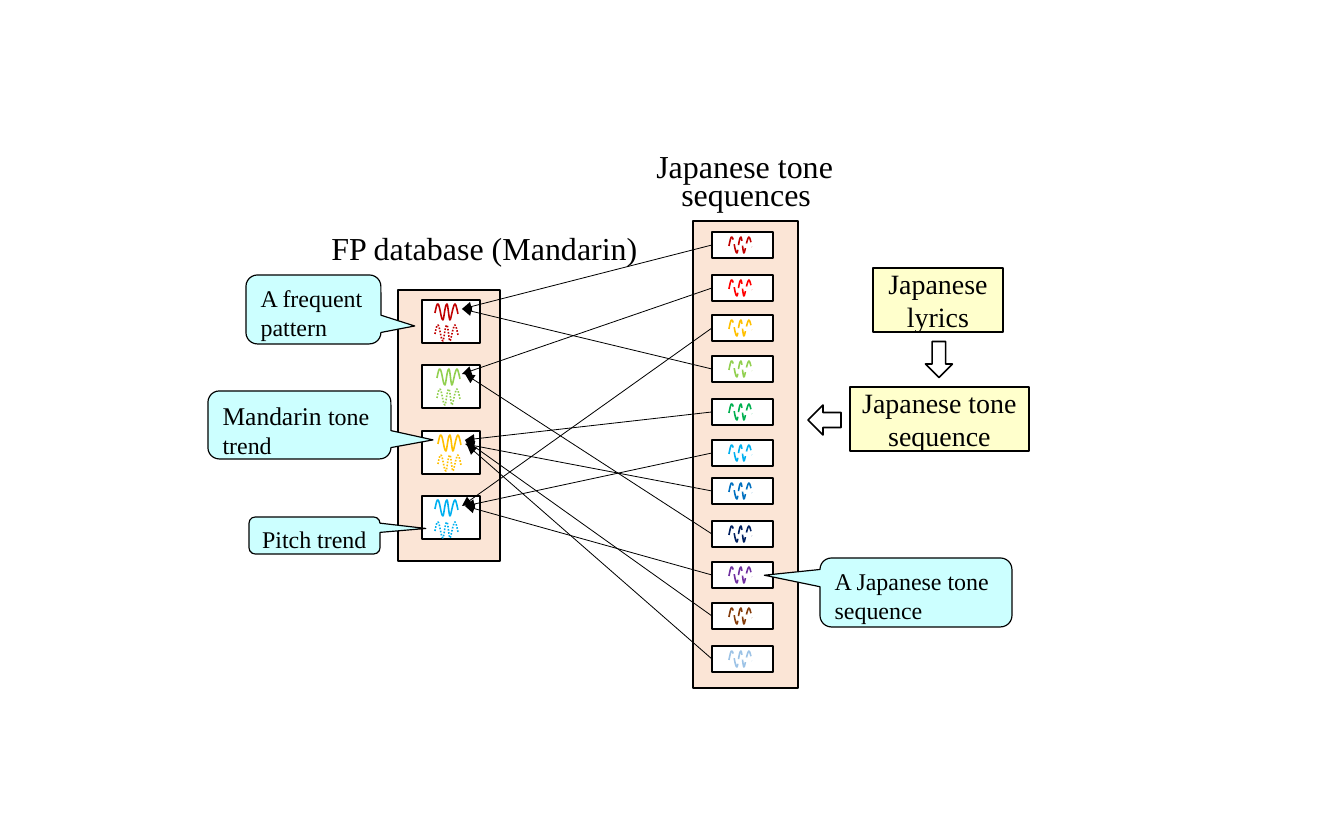
from dataclasses import dataclass
from typing import NamedTuple

from lxml.etree import SubElement
from pptx import Presentation
from pptx.dml.color import RGBColor as Rgb
from pptx.enum.dml import MSO_LINE_DASH_STYLE as Dash
from pptx.enum.shapes import MSO_CONNECTOR as Link, MSO_SHAPE as Kind
from pptx.enum.text import MSO_ANCHOR as Anchor, PP_ALIGN as Align
from pptx.oxml.ns import qn
from pptx.util import Pt

PX = 914400 / 115


def emu(px: float) -> int:
    return round(px * PX)


@dataclass(frozen=True)
class Theme:
    font: str = "Times New Roman"
    ink: str = "000000"
    white: str = "FFFFFF"
    peach: str = "FBE5D6"
    aqua: str = "CCFFFF"
    cream: str = "FFFFCC"
    title: float = 20
    step: float = 17.5
    lead: float = 16
    note: float = 15
    edge: float = 1
    thin: float = 0.75
    hair: float = 0.5


class Box(NamedTuple):
    x: int
    y: int
    w: int
    h: int


class Run(NamedTuple):
    text: str
    size: float


class Label(NamedTuple):
    box: Box
    run: Run


class Bubble(NamedTuple):
    box: Box
    tip: tuple[float, float]
    runs: list[Run]


class Trend(NamedTuple):
    color: str
    dx: int
    gap: int


class Tone(NamedTuple):
    color: str
    y: int
    tip: tuple[int, int]


class Arrow(NamedTuple):
    box: Box
    turn: int


T = Theme()

LABELS = [
    Label(Box(320, 223, 335, 51), Run("FP database (Mandarin)", T.title)),
    Label(Box(645, 141, 201, 51), Run("Japanese tone", T.title)),
    Label(Box(670, 169, 154, 51), Run("sequences", T.title)),
]
TRENDS = [
    Trend("C00000", 13, 21),
    Trend("92D050", 15, 20),
    Trend("FFC000", 16, 20),
    Trend("00B0F0", 13, 22),
]
TONES = [
    Tone("C00000", 232, (462, 309)),
    Tone("FF0000", 275, (462, 374)),
    Tone("FFC000", 315, (462, 506)),
    Tone("92D050", 356, (462, 309)),
    Tone("00B050", 399, (465, 440)),
    Tone("00B0F0", 440, (465, 506)),
    Tone("0070C0", 478, (465, 444)),
    Tone("002060", 521, (465, 374)),
    Tone("7030A0", 562, (465, 506)),
    Tone("843C0B", 603, (465, 440)),
    Tone("9DC3E6", 646, (467, 445)),
]
BUBBLES = [
    Bubble(Box(208, 391, 183, 68), (0.73, 0.22),
           [Run("Mandarin ", T.lead), Run("tone trend", T.note)]),
    Bubble(Box(249, 517, 131, 37), (0.85, -0.19), [Run("Pitch trend", T.note)]),
    Bubble(Box(246, 275, 135, 69), (0.75, 0.24), [Run("A frequent pattern", T.note)]),
    Bubble(Box(820, 558, 192, 69), (-0.79, -0.25),
           [Run("A Japanese tone sequence", T.note)]),
]
STEPS = [
    Label(Box(873, 268, 130, 64), Run("Japanese lyrics", T.step)),
    Label(Box(850, 387, 179, 64), Run("Japanese tone sequence", T.step)),
]
ARROWS = [Arrow(Box(808, 405, 33, 30), 0), Arrow(Box(921, 346, 36, 27), 270)]

START = (0, 9)
CURVES = [
    ((1, 4), (2, -1), (3, 0)),
    ((5, 1), (6, 16), (8, 16)),
    ((9, 16), (10, 0), (12, 0)),
    ((13, 0), (14, 16), (15, 16)),
    ((16, 16), (18, 1), (20, 0)),
    ((21, -1), (23, 10), (23, 10)),
]


def place(box: Box) -> list[int]:
    return [emu(v) for v in box]


def write(para, runs: list[Run]) -> None:
    for item in runs:
        run = para.add_run()
        run.text = item.text
        run.font.size = Pt(item.size)
        run.font.name = T.font
        run.font.color.rgb = Rgb.from_string(T.ink)


def stroke(line, color: str, width: float) -> None:
    line.color.rgb = Rgb.from_string(color)
    line.width = Pt(width)


def block(shapes, kind: Kind, box: Box, fill: str, width: float = T.edge):
    shape = shapes.add_shape(kind, *place(box))
    shape.shadow.inherit = False
    shape.fill.solid()
    shape.fill.fore_color.rgb = Rgb.from_string(fill)
    stroke(shape.line, T.ink, width)
    return shape


def label(shapes, item: Label) -> None:
    frame = shapes.add_textbox(*place(item.box)).text_frame
    frame.word_wrap = False
    write(frame.paragraphs[0], [item.run])


def wave(shapes, x: int, y: int, color: str, dash: Dash) -> None:
    pen = shapes.build_freeform(emu(x + START[0]), emu(y + START[1]))
    pen.add_line_segments([(emu(x + a), emu(y + b)) for *_, (a, b) in CURVES], close=False)
    shape = pen.convert_to_shape()
    for node, curve in zip(list(shape._element.iter(qn("a:lnTo"))), CURVES):
        node.clear()
        node.tag = qn("a:cubicBezTo")
        for a, b in curve:
            SubElement(node, qn("a:pt"), x=str(emu(a)), y=str(emu(b)))
    shape.shadow.inherit = False
    shape.fill.background()
    stroke(shape.line, color, T.edge)
    shape.line.dash_style = dash


def bubble(shapes, item: Bubble) -> None:
    shape = block(shapes, Kind.ROUNDED_RECTANGULAR_CALLOUT, item.box, T.aqua, T.thin)
    for k, value in enumerate(item.tip):
        shape.adjustments[k] = value
    frame = shape.text_frame
    frame.word_wrap = True
    frame.vertical_anchor = Anchor.TOP
    frame.paragraphs[0].alignment = Align.LEFT
    write(frame.paragraphs[0], item.runs)


def step(shapes, item: Label) -> None:
    frame = block(shapes, Kind.RECTANGLE, item.box, T.cream).text_frame
    frame.word_wrap = True
    frame.vertical_anchor = Anchor.MIDDLE
    frame.paragraphs[0].alignment = Align.CENTER
    write(frame.paragraphs[0], [item.run])


def match(shapes, tone: Tone) -> None:
    ends = (712, tone.y + 13, *tone.tip)
    link = shapes.add_connector(Link.STRAIGHT, *[emu(v) for v in ends])
    stroke(link.line, T.ink, T.hair)
    SubElement(link.get_or_add_ln(), qn("a:tailEnd"), type="triangle")
    SubElement(link._element.spPr, qn("a:effectLst"))


def main() -> None:
    deck = Presentation()
    deck.slide_width, deck.slide_height = emu(1344), emu(815)
    shapes = deck.slides.add_slide(deck.slide_layouts[6]).shapes

    block(shapes, Kind.RECTANGLE, Box(398, 290, 102, 271), T.peach)
    for k, trend in enumerate(TRENDS):
        y = 300 + 131 * k // 2
        block(shapes, Kind.RECTANGLE, Box(422, y, 58, 43), T.white)
        for dy, dash in ((4, Dash.SOLID), (4 + trend.gap, Dash.ROUND_DOT)):
            wave(shapes, 422 + trend.dx, y + dy, trend.color, dash)

    for item in BUBBLES[:3]:
        bubble(shapes, item)

    block(shapes, Kind.RECTANGLE, Box(693, 221, 105, 467), T.peach)
    for tone in TONES:
        block(shapes, Kind.RECTANGLE, Box(712, tone.y, 61, 26), T.white)
        wave(shapes, 729, tone.y + 5, tone.color, Dash.LONG_DASH)

    bubble(shapes, BUBBLES[3])
    for tone in TONES:
        match(shapes, tone)
    for item in STEPS:
        step(shapes, item)
    for arrow in ARROWS:
        block(shapes, Kind.LEFT_ARROW, arrow.box, T.white).rotation = arrow.turn
    for item in LABELS:
        label(shapes, item)

    deck.save("out.pptx")


if __name__ == "__main__":
    main()
